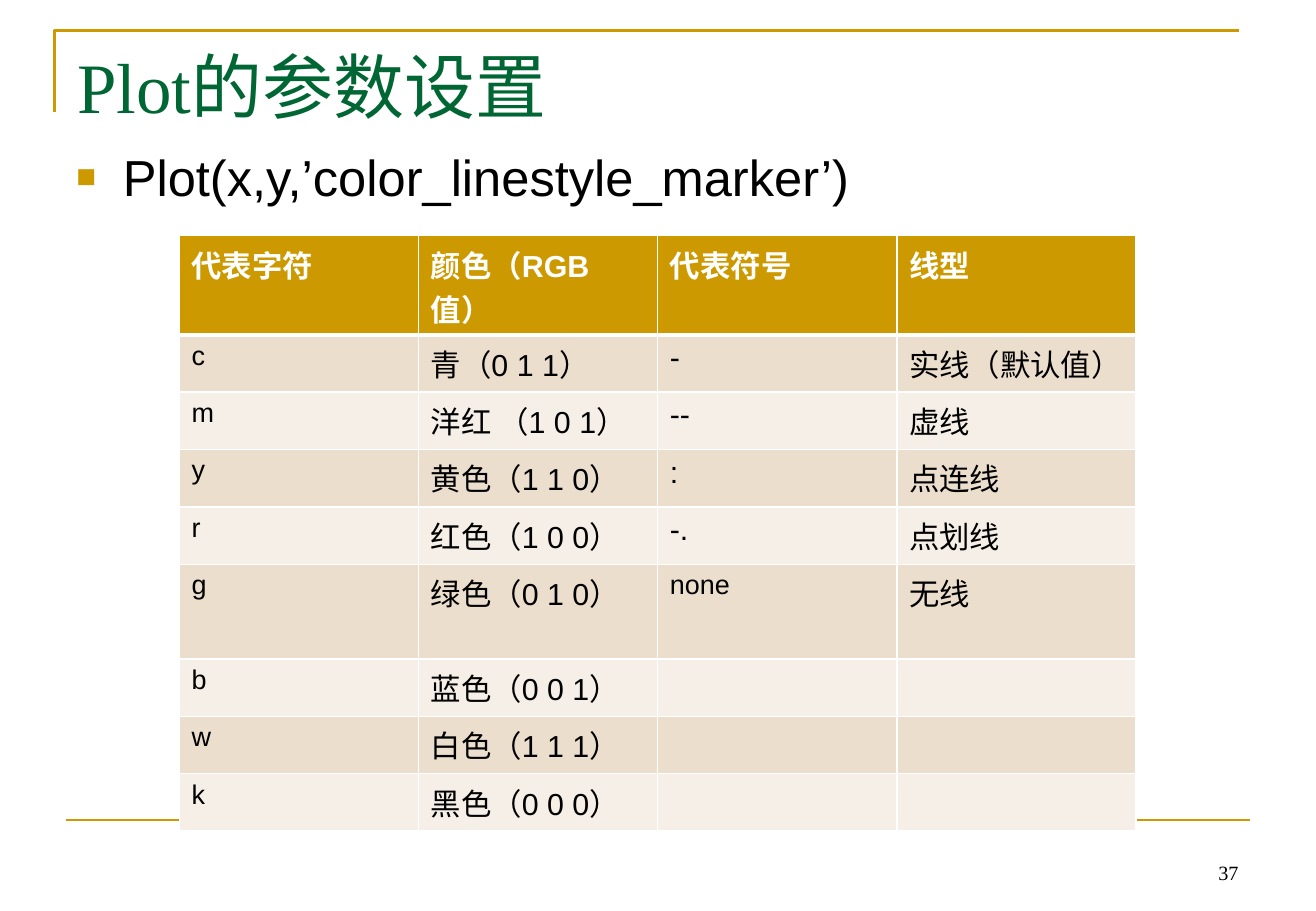
from dataclasses import dataclass
from typing import Any

import pptx
import pptx.dml.color
import pptx.enum.shapes
import pptx.enum.text
import pptx.oxml
import pptx.oxml.ns
import pptx.util
from pptx.util import Cm

COLORS = {
    "gold": "CC9900",
    "green": "006633",
    "black": "000000",
    "white": "FFFFFF",
    "band_dark": "ECDECC",
    "band_light": "F6EFE7",
}
ALIGN = pptx.enum.text.PP_ALIGN
ANCHOR = pptx.enum.text.MSO_ANCHOR

TABLE_ROWS = [
    ("代表字符", "颜色（RGB值）", "代表符号", "线型"),
    ("c", "青（0 1 1）", "-", "实线（默认值）"),
    ("m", "洋红 （1 0 1）", "--", "虚线"),
    ("y", "黄色（1 1 0）", ":", "点连线"),
    ("r", "红色（1 0 0）", "-.", "点划线"),
    ("g", "绿色（0 1 0）", "none", "无线"),
    ("b", "蓝色（0 0 1）", "", ""),
    ("w", "白色（1 1 1）", "", ""),
    ("k", "黑色（0 0 0）", "", ""),
]
COLUMN_WIDTH = 5.0
ROW_HEIGHT = 1.2
SPECIAL_ROW_HEIGHTS = {0: 2.07, 5: 1.98}


@dataclass
class TextBlock:
    text: str
    left: float
    top: float
    width: float
    height: float
    size: float
    font: str
    color: str = "black"
    align: Any = ALIGN.LEFT
    anchor: Any = ANCHOR.TOP
    bullet: bool = False


TEXT_BLOCKS = [
    TextBlock("Plot的参数设置", 1.37, 0.76, 24.77, 3.18, 42, "Times New Roman", "green"),
    TextBlock("Plot(x,y,’color_linestyle_marker’)", 1.35, 2.92, 24.77, 12.57, 30, "Arial",
              bullet=True),
    TextBlock("37", 19.71, 17.35, 6.43, 1.27, 12, "Times New Roman",
              align=ALIGN.RIGHT, anchor=ANCHOR.BOTTOM),
]


def rgb(name: str) -> pptx.dml.color.RGBColor:
    return pptx.dml.color.RGBColor.from_string(COLORS[name])


def apply_format(target: Any, values: dict[str, Any]) -> None:
    for name, value in values.items():
        setattr(target, name, value)


def format_font(font: Any, name: str, size: float, color: str, bold: bool = False) -> None:
    apply_format(font, {"name": name, "size": pptx.util.Pt(size), "bold": bold})
    font.color.rgb = rgb(color)


def format_line(line: Any) -> None:
    line.color.rgb = rgb("gold")
    line.width = pptx.util.Pt(1.5)


def add_bullet(paragraph: Any) -> None:
    """Give the paragraph a hanging indent and a small gold square."""
    properties = paragraph._p.get_or_add_pPr()
    properties.set("marL", str(Cm(0.97)))
    properties.set("indent", str(-Cm(0.97)))
    namespace = pptx.oxml.ns.nsdecls("a")
    for xml in (
        f'<a:buClr {namespace}><a:srgbClr val="{COLORS["gold"]}"/></a:buClr>',
        f'<a:buSzPct {namespace} val="65000"/>',
        f'<a:buFont {namespace} typeface="Arial"/>',
        f'<a:buChar {namespace} char="■"/>',
    ):
        properties.append(pptx.oxml.parse_xml(xml))


def add_text(slide: Any, block: TextBlock) -> None:
    shape = slide.shapes.add_textbox(
        Cm(block.left), Cm(block.top), Cm(block.width), Cm(block.height))
    apply_format(shape.text_frame, {"word_wrap": True, "vertical_anchor": block.anchor})
    paragraph = shape.text_frame.paragraphs[0]
    paragraph.alignment = block.align
    if block.bullet:
        add_bullet(paragraph)
    run = paragraph.add_run()
    run.text = block.text
    format_font(run.font, block.font, block.size, block.color)


def add_frame_lines(slide: Any) -> None:
    """Draw the corner line around the title and the rule above the footer."""
    builder = slide.shapes.build_freeform(Cm(1.14), Cm(2.34))
    builder.add_line_segments(
        [(Cm(1.14), Cm(0.64)), (Cm(25.91), Cm(0.64))], close=False)
    corner = builder.convert_to_shape()
    corner.shadow.inherit = False
    corner.fill.background()
    format_line(corner.line)

    rule = slide.shapes.add_connector(
        pptx.enum.shapes.MSO_CONNECTOR.STRAIGHT, Cm(1.37), Cm(17.15), Cm(26.14), Cm(17.15))
    format_line(rule.line)
    rule._element.spPr.append(
        pptx.oxml.parse_xml(f'<a:effectLst {pptx.oxml.ns.nsdecls("a")}/>'))


def set_borders(cell: Any, widths: dict[str, float]) -> None:
    properties = cell._tc.get_or_add_tcPr()
    for position, (side, width) in enumerate(widths.items()):
        properties.insert(position, pptx.oxml.parse_xml(
            f'<a:ln{side} {pptx.oxml.ns.nsdecls("a")} w="{pptx.util.Pt(width)}">'
            f'<a:solidFill><a:srgbClr val="{COLORS["white"]}"/></a:solidFill></a:ln{side}>'))


def fill_cell(cell: Any, text: str, row: int) -> None:
    header = row == 0
    band = "band_dark" if row % 2 else "band_light"
    cell.fill.solid()
    cell.fill.fore_color.rgb = rgb("gold" if header else band)
    set_borders(cell, {"L": 1, "R": 1, "T": 3 if row == 1 else 1, "B": 3 if header else 1})
    if text:
        run = cell.text_frame.paragraphs[0].add_run()
        run.text = text
        latin_word = text.isascii() and text.isalpha()
        format_font(run.font, "Arial", 16 if latin_word else 18,
                    "white" if header else "black", header)


def add_parameter_table(slide: Any) -> None:
    row_count, column_count = len(TABLE_ROWS), len(TABLE_ROWS[0])
    heights = [SPECIAL_ROW_HEIGHTS.get(row, ROW_HEIGHT) for row in range(row_count)]
    table = slide.shapes.add_table(
        row_count, column_count, Cm(3.75), Cm(4.93),
        Cm(COLUMN_WIDTH * column_count), Cm(sum(heights))).table
    apply_format(table, {"first_row": True, "horz_banding": False})
    for column in table.columns:
        column.width = Cm(COLUMN_WIDTH)
    for row, texts in enumerate(TABLE_ROWS):
        table.rows[row].height = Cm(heights[row])
        for column, text in enumerate(texts):
            fill_cell(table.cell(row, column), text, row)


def main() -> None:
    presentation = pptx.Presentation()
    apply_format(presentation, {"slide_width": Cm(27.51), "slide_height": Cm(19.05)})
    slide = presentation.slides.add_slide(presentation.slide_layouts[6])
    add_frame_lines(slide)
    for block in TEXT_BLOCKS:
        add_text(slide, block)
    add_parameter_table(slide)
    presentation.save("out.pptx")


if __name__ == "__main__":
    main()
